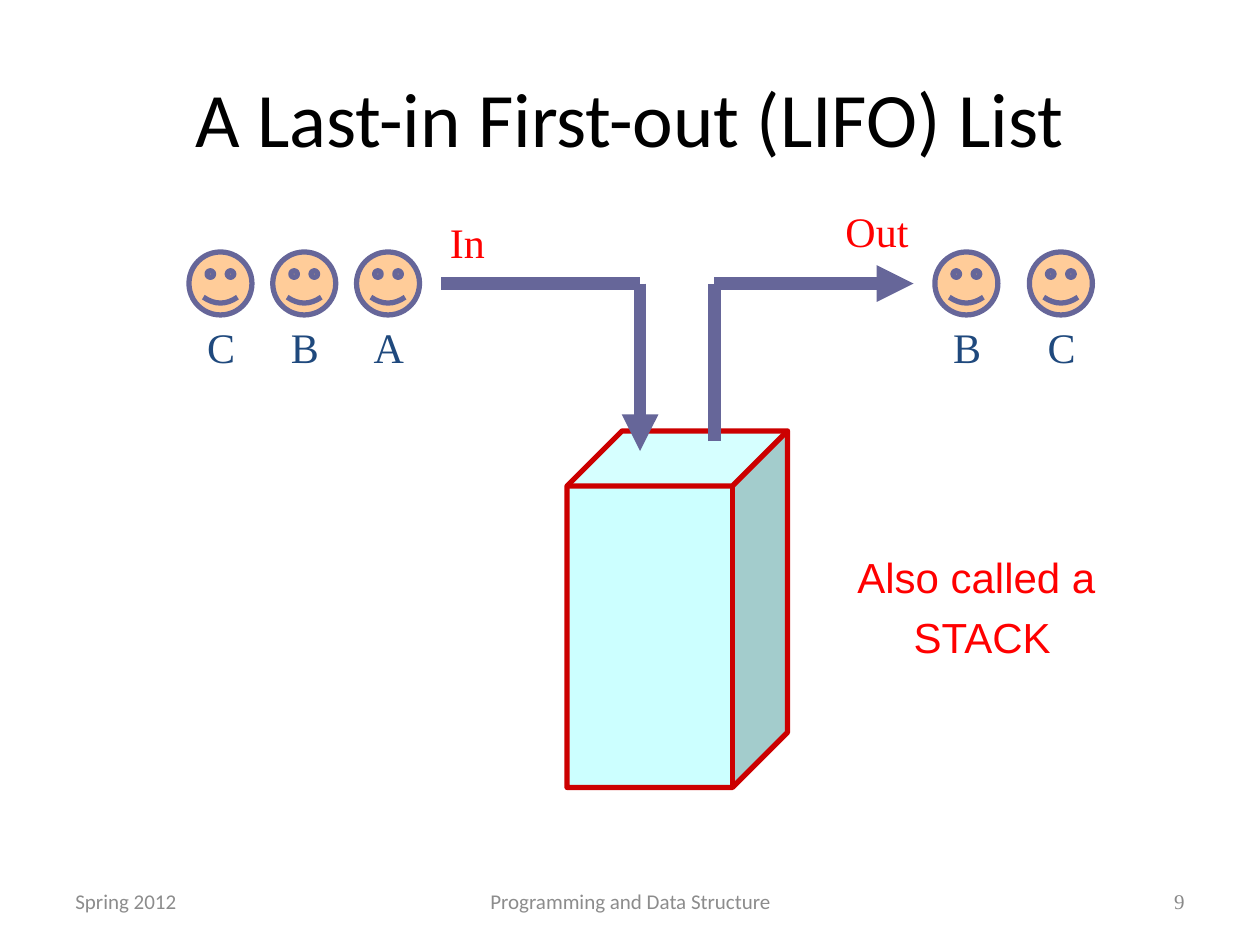
from pptx import Presentation
from pptx import util as u
from pptx.dml import color
from pptx.enum import shapes, text
from pptx.oxml import ns, xmlchemy

BLACK = color.RGBColor(0x00, 0x00, 0x00)
GRAY = color.RGBColor(0x8C, 0x8C, 0x8C)
NUMBER_GRAY = color.RGBColor(0x89, 0x89, 0x89)
RED = color.RGBColor(0xFF, 0x00, 0x00)
DARK_RED = color.RGBColor(0xCC, 0x00, 0x00)
NAVY = color.RGBColor(0x1F, 0x49, 0x7D)
PURPLE = color.RGBColor(0x66, 0x66, 0x99)
PEACH = color.RGBColor(0xFF, 0xCC, 0x99)
CYAN = color.RGBColor(0xCC, 0xFF, 0xFF)

LEFT, CENTER, RIGHT = (text.PP_ALIGN.LEFT, text.PP_ALIGN.CENTER, text.PP_ALIGN.RIGHT)
TOP, MIDDLE = text.MSO_ANCHOR.TOP, text.MSO_ANCHOR.MIDDLE
SERIF = "Times New Roman"


class StackSlide:
    label_size = 24
    outline = 3
    arrow_width = 7

    def __init__(self, presentation):
        self.slide = presentation.slides.add_slide(presentation.slide_layouts[6])

    def add_text(self, lines, box, ink, name=SERIF, size=label_size,
                 align=CENTER, anchor=TOP, parent=None):
        owner = parent or self.slide
        shape = owner.shapes.add_textbox(*map(u.Inches, box))
        frame = shape.text_frame
        for key, value in {"word_wrap": True, "vertical_anchor": anchor}.items():
            setattr(frame, key, value)
        frame.text = "\n".join(lines)
        for index, paragraph in enumerate(frame.paragraphs):
            paragraph.alignment = align
            if index:
                paragraph.space_before = u.Pt(5.5)
            for key, value in {"name": name, "size": u.Pt(size)}.items():
                setattr(paragraph.font, key, value)
            paragraph.font.color.rgb = ink

    def add_shape(self, kind, box, fill, line, parent=None):
        owner = parent or self.slide
        shape = owner.shapes.add_shape(kind, *map(u.Inches, box))
        shape.shadow.inherit = False
        shape.fill.solid()
        shape.fill.fore_color.rgb = fill
        shape.line.color.rgb = line
        shape.line.width = u.Pt(self.outline)

    def add_line(self, start, end, arrow=False):
        connector = self.slide.shapes.add_connector(
            shapes.MSO_CONNECTOR.STRAIGHT, *map(u.Inches, start + end))
        connector.line.color.rgb = PURPLE
        connector.line.width = u.Pt(self.arrow_width)
        properties = connector._element.spPr
        if arrow:
            tail = xmlchemy.OxmlElement("a:tailEnd")
            tail.set("type", "triangle")
            properties.find(ns.qn("a:ln")).append(tail)
        properties.append(xmlchemy.OxmlElement("a:effectLst"))

    def add_person(self, letter, left):
        group = self.slide.shapes.add_group_shape()
        self.add_shape(shapes.MSO_SHAPE.SMILEY_FACE, (left, 2, 0.5, 0.5),
                       PEACH, PURPLE, parent=group)
        self.add_text([letter], (left - 0.08, 2.5, 0.67, 0.5), NAVY, parent=group)


def main():
    presentation = Presentation()
    presentation.slide_width = u.Inches(10)
    presentation.slide_height = u.Inches(7.5)
    page = StackSlide(presentation)

    page.add_text(["A Last-in First-out (LIFO) List"], (0.5, 0.3, 9, 1.25),
                  BLACK, "Calibri", 44, anchor=MIDDLE)
    footers = [
        ("Spring 2012", 0.5, 2.33, GRAY, "Calibri", LEFT),
        ("Programming and Data Structure", 3.42, 3.17, GRAY, "Calibri", CENTER),
        ("9", 7.17, 2.33, NUMBER_GRAY, SERIF, RIGHT),
    ]
    for words, left, width, ink, name, align in footers:
        page.add_text([words], (left, 6.95, width, 0.4), ink, name, 12, align, MIDDLE)

    page.add_shape(shapes.MSO_SHAPE.CUBE, (4.5, 3.42, 1.75, 2.83), CYAN, DARK_RED)

    in_corner, out_corner = (5.08, 2.25), (5.67, 2.25)
    page.add_line(in_corner, (5.08, 3.58), arrow=True)
    page.add_line(in_corner, (3.5, 2.25))
    page.add_line((5.67, 3.5), out_corner)
    page.add_line(out_corner, (7.25, 2.25), arrow=True)
    page.add_text(["In"], (3.25, 1.67, 0.92, 0.5), RED)
    page.add_text(["Out"], (6.5, 1.58, 0.92, 0.5), RED)

    queues = [("ABC", 2.83, -0.665), ("CB", 8.17, -0.75)]
    for letters, first, step in queues:
        for index, letter in enumerate(letters):
            page.add_person(letter, first + index * step)

    page.add_text(["Also called a ", "STACK"], (6.42, 4.33, 2.75, 0.98), RED, "Arial")
    presentation.save("out.pptx")


if __name__ == "__main__":
    main()
